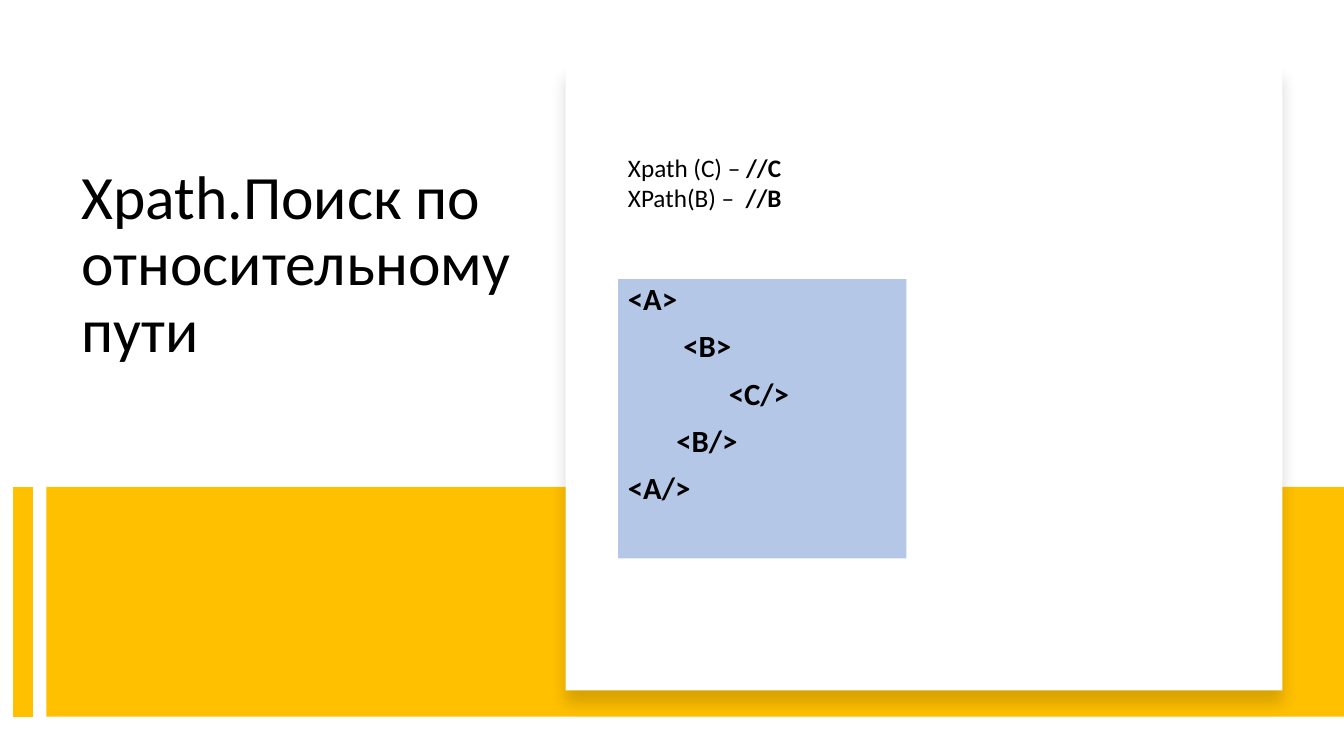
import pptx
import pptx.util
import pptx.dml.color
import pptx.enum.shapes
import pptx.enum.text
import pptx.oxml
from pptx.util import Inches

COLORS = {"gold": "FFC000", "white": "FFFFFF", "blue": "B4C7E7", "text": "000000"}
FONT = "Calibri"

TITLE = [(0, [("Xpath.Поиск по относительному пути", False)])]
QUERIES = [
    (0, [("Xpath (C) – ", False), ("//C", True)]),
    (0, [("XPath(B) –  ", False), ("//B", True)]),
]
TREE = [
    (0, [("<A>", True)]),
    (0.55, [("<B>", True)]),
    (1, [("<C/>", True)]),
    (0.48, [("<B/>", True)]),
    (0, [("<A/>", True)]),
]

BAND_TOP, BAND_HEIGHT = 4.83, 2.28
BAND = (0.46, BAND_TOP, 12.87, BAND_HEIGHT)
STRIPE_X = 0.23
CARD = (5.61, 0.64, 7.11, 6.21)
TITLE_BOX = (0.71, 1.6, 4.51, 2.94)
TREE_BOX = (6.13, 2.77, 2.86, 2.77)
QUERY_BOX = (6.13, 1.46, 3.15, 0.71)

CARD_SHADOW = (
    '<a:effectLst xmlns:a="http://schemas.openxmlformats.org/drawingml/2006/main">'
    '<a:outerShdw blurRad="139700" dist="127000" dir="5400000" algn="t" rotWithShape="0">'
    '<a:srgbClr val="000000"><a:alpha val="15000"/></a:srgbClr>'
    '</a:outerShdw></a:effectLst>'
)
NO_EFFECT = '<a:effectLst xmlns:a="http://schemas.openxmlformats.org/drawingml/2006/main"/>'


def rgb(name):
    return pptx.dml.color.RGBColor.from_string(COLORS[name])


def apply(target, values):
    for name, value in values.items():
        setattr(target, name, value)


def add_block(page, place, color):
    block = page.shapes.add_shape(
        pptx.enum.shapes.MSO_SHAPE.RECTANGLE, *map(Inches, place))
    block.shadow.inherit = False
    block.fill.solid()
    block.fill.fore_color.rgb = rgb(color)
    block.line.fill.background()
    return block


def write(box, paragraphs, size, spacing):
    frame = box.text_frame
    apply(frame, {"word_wrap": True,
                  "vertical_anchor": pptx.enum.text.MSO_ANCHOR.TOP})
    for index, (indent, spans) in enumerate(paragraphs):
        para = frame.add_paragraph() if index else frame.paragraphs[0]
        apply(para, {"alignment": pptx.enum.text.PP_ALIGN.LEFT, **spacing})
        if indent:
            properties = para._p.get_or_add_pPr()
            properties.set("marL", str(Inches(indent)))
            properties.set("indent", "0")
        for text, bold in spans:
            span = para.add_run()
            span.text = text
            apply(span.font, {"name": FONT, "size": pptx.util.Pt(size), "bold": bold})
            span.font.color.rgb = rgb("text")


def main():
    deck = pptx.Presentation()
    apply(deck, {"slide_width": Inches(13.33), "slide_height": Inches(7.5)})
    page = deck.slides.add_slide(deck.slide_layouts[6])

    title = page.shapes.add_textbox(*map(Inches, TITLE_BOX))
    write(title, TITLE, 44, {"line_spacing": 0.9})

    add_block(page, BAND, "gold")
    stripe = page.shapes.add_connector(
        pptx.enum.shapes.MSO_CONNECTOR.STRAIGHT,
        *map(Inches, (STRIPE_X, BAND_TOP, STRIPE_X, BAND_TOP + BAND_HEIGHT)))
    stripe.line.color.rgb = rgb("gold")
    stripe.line.width = pptx.util.Pt(14)
    stripe._element.spPr.append(pptx.oxml.parse_xml(NO_EFFECT))

    card = add_block(page, CARD, "white")
    properties = card._element.spPr
    properties.replace(properties.find(pptx.oxml.ns.qn("a:effectLst")),
                       pptx.oxml.parse_xml(CARD_SHADOW))

    tree = add_block(page, TREE_BOX, "blue")
    write(tree, TREE, 22, {"line_spacing": 0.9, "space_before": pptx.util.Pt(10)})

    queries = page.shapes.add_textbox(*map(Inches, QUERY_BOX))
    write(queries, QUERIES, 18, {})
    queries.text_frame.auto_size = pptx.enum.text.MSO_AUTO_SIZE.SHAPE_TO_FIT_TEXT

    deck.save("out.pptx")


if __name__ == "__main__":
    main()
